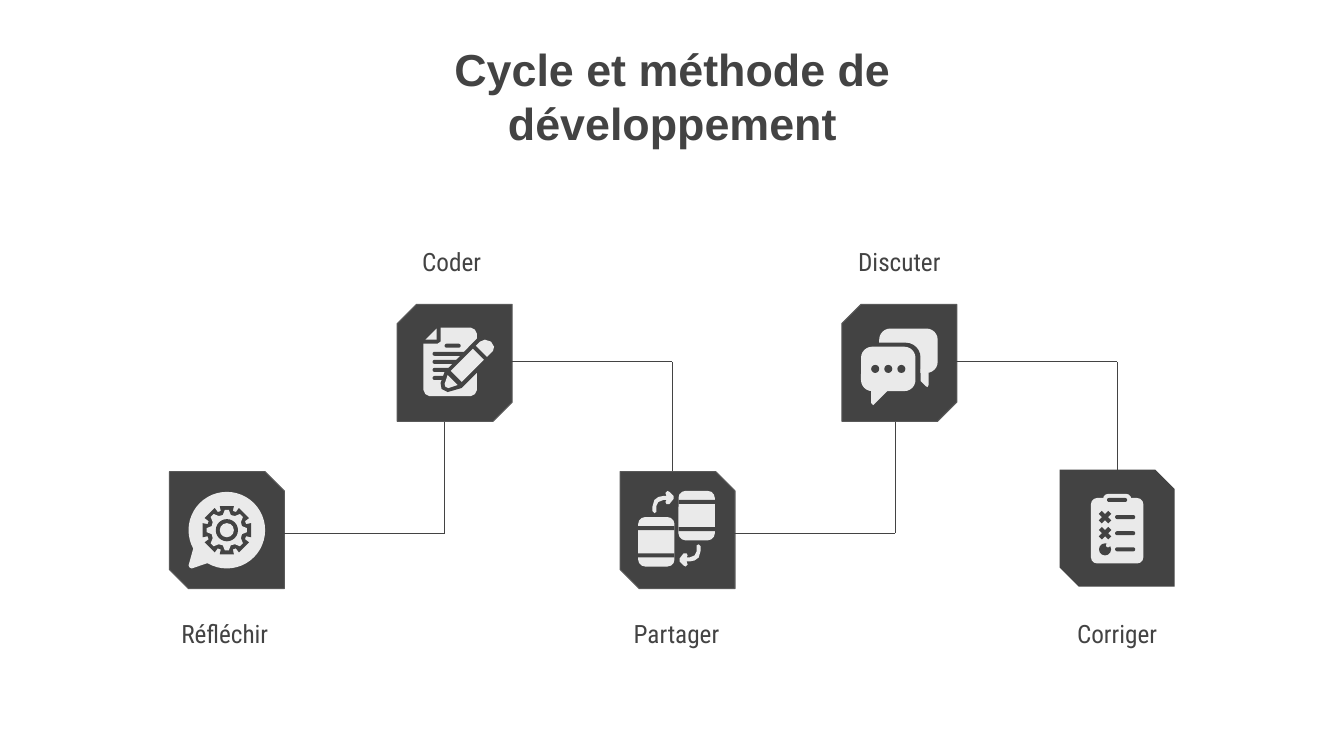
from dataclasses import dataclass
from math import cos, radians, sin
from typing import Any, NamedTuple

from lxml.etree import SubElement
from pptx import Presentation
from pptx.dml.color import RGBColor
from pptx.enum.shapes import MSO_CONNECTOR, MSO_SHAPE
from pptx.enum.text import MSO_ANCHOR, PP_ALIGN
from pptx.oxml.ns import qn
from pptx.util import Pt

PX = 9144  # 100 px to the inch
DARK, LIGHT, EDGE = "434343", "EAEAEA", "595959"
OVAL, RECT = MSO_SHAPE.OVAL, MSO_SHAPE.RECTANGLE
ROUND, CROSS = MSO_SHAPE.ROUNDED_RECTANGLE, MSO_SHAPE.MATH_MULTIPLY
Points = list[tuple[float, float]]


@dataclass
class Step:
    name: str
    left: int
    top: int
    text_left: int
    text_top: int
    raised: bool = False
    last: bool = False


class Part(NamedTuple):
    kind: MSO_SHAPE
    left: int
    top: int
    wide: int
    high: int
    tone: str = LIGHT
    bend: float | None = None


class Path(NamedTuple):
    points: Points
    tone: str = LIGHT


STEPS = [
    Step("Réfléchir", 168, 468, 133, 600),
    Step("Coder", 394, 302, 358, 231, raised=True),
    Step("Partager", 615, 468, 581, 600),
    Step("Discuter", 835, 302, 802, 231, raised=True),
    Step("Corriger", 1051, 466, 1018, 600, last=True),
]


def gear(x: int, y: int, tip: int, tip_half: int, root: int, root_half: int) -> Points:
    """Outline of a gear with eight teeth, half widths in degrees."""
    edge = [(root, -root_half), (tip, -tip_half), (tip, tip_half), (root, root_half)]
    return [(x + r * cos(radians(45 * n + a)), y + r * sin(radians(45 * n + a)))
            for n in range(8) for r, a in edge]


def card(left: int, top: int) -> list[Part]:
    bands = [Part(RECT, left, top + y, 36, 4, DARK) for y in (9, 36)]
    return [Part(ROUND, left, top, 36, 49, LIGHT, 0.19), *bands]


THINK = [
    Part(OVAL, 187, 488, 76, 76),
    Path([(192, 543), (187, 561), (188, 563), (190, 564), (208, 558)]),
    Path(gear(225, 526, 25, 16, 20, 18), DARK),
    Path(gear(225, 526, 20, 6, 16, 15)),
    Part(OVAL, 214, 515, 22, 22, DARK),
    Part(OVAL, 218, 519, 14, 14),
]
CODE = [
    Path([(437, 325), (467, 325), (471, 327), (473, 331), (473, 387), (471, 391),
          (467, 393), (426, 393), (422, 391), (420, 387), (420, 341), (434, 341),
          (437, 339)]),
    Path([(433, 326), (422, 337), (433, 337)]),
    Part(ROUND, 441, 341, 16, 4, DARK, 0.5),
    *[Part(ROUND, 429, 349 + 8 * n, wide, 4, DARK, 0.5)
      for n, wide in enumerate((33, 26, 18, 13))],
    Path([(473, 336), (441, 369), (437, 380), (438, 386), (444, 389), (458, 385),
          (473, 370)], DARK),
    Path([(444, 372), (441, 381), (442, 384), (445, 385), (454, 382)]),
    Path([(469, 346), (447, 368), (458, 379), (480, 357)]),
    Path([(472, 343), (476, 339), (481, 337), (487, 339), (490, 344), (489, 348),
          (483, 354)]),
]
ARROW = [(647, 507), (647, 503), (649, 496), (653, 493), (658, 492), (661, 492),
         (660, 489), (662, 487), (664, 488), (668, 492), (668, 495), (664, 500),
         (661, 500), (660, 498), (661, 496), (658, 496), (653, 498), (651, 502),
         (651, 508), (649, 509)]
SHARE = [
    *card(633, 513),
    *card(673, 487),
    Path(ARROW),
    Path([(1342 - x, 1049 - y) for x, y in ARROW]),
]
TALK = [
    Part(ROUND, 872, 326, 58, 44, LIGHT, 0.25),
    Part(ROUND, 850, 340, 63, 52, DARK, 0.28),
    Path([(913, 366), (913, 378), (918, 383), (920, 384), (921, 382), (921, 366)]),
    Part(ROUND, 854, 344, 54, 44, LIGHT, 0.25),
    Path([(864, 386), (864, 400), (866, 402), (867, 401), (882, 386)]),
    *[Part(OVAL, 864 + 13 * n, 362, 8, 8, DARK) for n in range(3)],
]
FIX = [
    Part(ROUND, 1082, 494, 52, 65, LIGHT, 0.12),
    Part(ROUND, 1094, 490, 28, 10, LIGHT, 0.5),
    Part(ROUND, 1098, 494, 20, 4, DARK, 0.5),
    *[Part(ROUND, 1106, 511 + 16 * n, 20, 4, DARK, 0.5) for n in range(3)],
    *[Part(CROSS, 1087, 504 + 16 * n, 18, 18, DARK) for n in range(2)],
    Part(OVAL, 1090, 539, 12, 12, DARK),
    Part(OVAL, 1097, 539, 4, 4),
]


def color(tone: str) -> RGBColor:
    return RGBColor.from_string(tone)


def assign(item: Any, values: dict[str, Any]) -> None:
    for name, value in values.items():
        setattr(item, name, value)


def paint(shape: Any, tone: str, edge: str | None = None) -> None:
    shape.shadow.inherit = False
    shape.fill.solid()
    shape.fill.fore_color.rgb = color(tone)
    if edge:
        shape.line.color.rgb = color(edge)
        shape.line.width = Pt(0.75)
    else:
        shape.line.fill.background()


def write(shape: Any, text: str, anchor: MSO_ANCHOR, font: dict[str, Any]) -> None:
    frame = shape.text_frame
    sides = ("left", "top", "right", "bottom")
    assign(frame, {"text": text, "word_wrap": True, "vertical_anchor": anchor,
                   **{f"margin_{side}": 13 * PX for side in sides}})
    para = frame.paragraphs[0]
    para.alignment = PP_ALIGN.CENTER
    assign(para.runs[0].font, font)
    para.runs[0].font.color.rgb = color(DARK)


def add_part(shapes: Any, part: Part) -> Any:
    box = (part.left, part.top, part.wide, part.high)
    shape = shapes.add_shape(part.kind, *(n * PX for n in box))
    if part.bend is not None:
        shape.adjustments[0] = part.bend
    paint(shape, part.tone)
    return shape


def add_path(shapes: Any, item: Path) -> None:
    (x, y), *rest = item.points
    pen = shapes.build_freeform(x, y, scale=PX)
    pen.add_line_segments(rest, close=True)
    paint(pen.convert_to_shape(), item.tone)


def add_line(shapes: Any, *ends: int) -> None:
    line = shapes.add_connector(MSO_CONNECTOR.STRAIGHT, *(n * PX for n in ends))
    line.line.color.rgb = color(DARK)
    line.line.width = Pt(0.75)
    SubElement(line._element.spPr, qn("a:effectLst"))


def add_step(shapes: Any, step: Step) -> None:
    tile = add_part(shapes, Part(MSO_SHAPE.SNIP_2_DIAG_RECTANGLE, step.left, step.top,
                                 114, 116, DARK))
    tile.adjustments[0], tile.adjustments[1] = (0.167, 0) if step.raised else (0, 0.167)
    if not step.last:
        paint(tile, DARK, EDGE)
        turn = step.left + 273
        start, end = (359, 492) if step.raised else (529, 396)
        add_line(shapes, step.left + 54, start, turn, start)
        add_line(shapes, turn, start, turn, end)
    label = shapes.add_textbox(*(n * PX for n in (step.text_left, step.text_top, 180, 54)))
    write(label, step.name, MSO_ANCHOR.TOP, {"name": "Roboto Condensed", "size": Pt(18)})


def main() -> None:
    deck = Presentation()
    assign(deck, {"slide_width": 1333 * PX, "slide_height": 750 * PX})
    slide = deck.slides.add_slide(deck.slide_layouts[5])
    title = slide.shapes.title
    assign(title, {"left": 287 * PX, "top": 26 * PX, "width": 760 * PX, "height": 138 * PX})
    write(title, "Cycle et méthode de développement", MSO_ANCHOR.MIDDLE,
          {"name": "Arial", "size": Pt(32), "bold": True})
    for step in STEPS:
        add_step(slide.shapes, step)
    for item in THINK + CODE + SHARE + TALK + FIX:
        (add_part if isinstance(item, Part) else add_path)(slide.shapes, item)
    deck.save("out.pptx")


if __name__ == "__main__":
    main()
